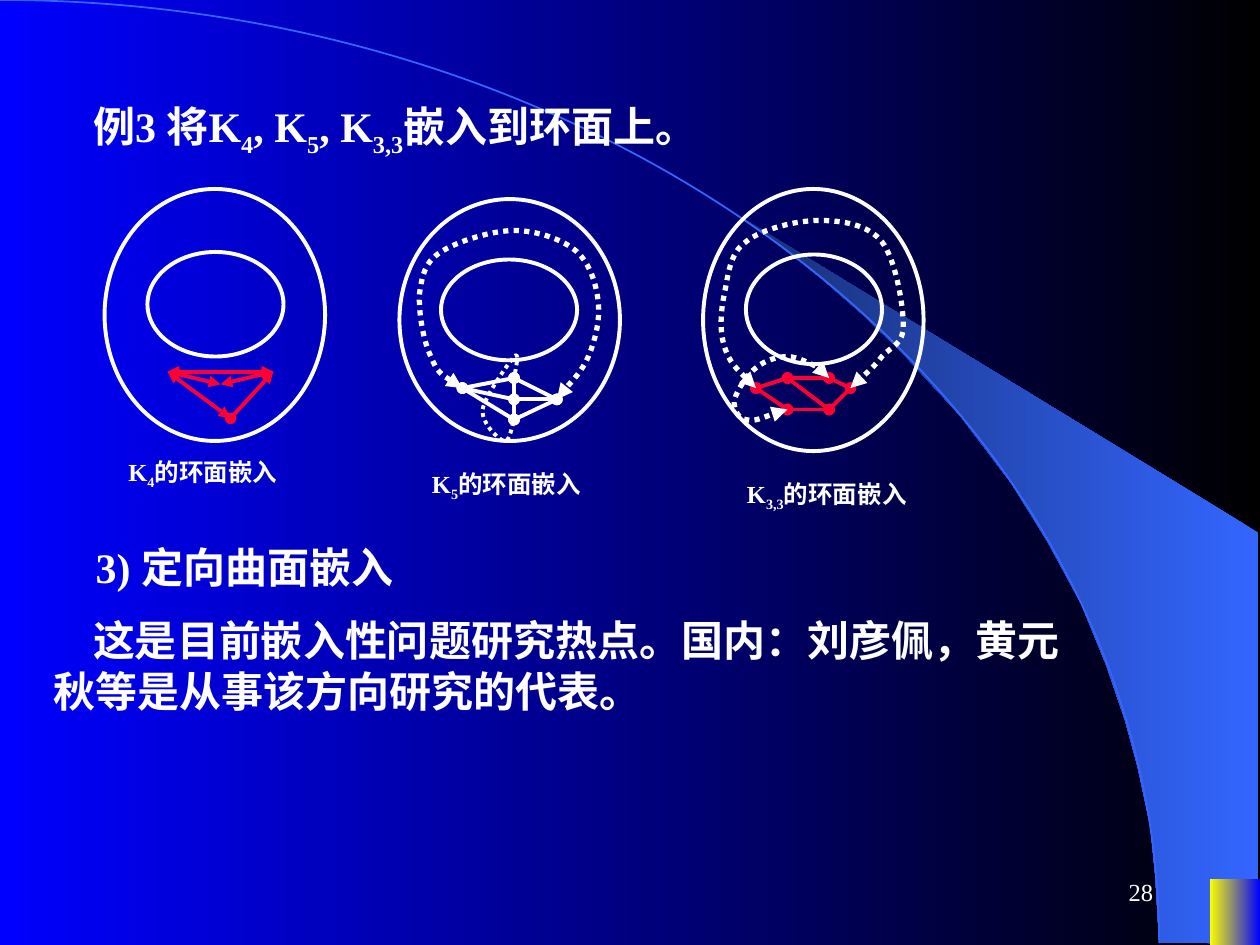
import lxml.etree
import pptx
import pptx.dml.color
import pptx.enum.dml
import pptx.enum.shapes
import pptx.enum.text
import pptx.oxml.ns
import pptx.util

Inches = pptx.util.Inches
RGBColor = pptx.dml.color.RGBColor
SHAPE = pptx.enum.shapes.MSO_SHAPE
ALIGN = pptx.enum.text.PP_ALIGN
ANCHOR = pptx.enum.text.MSO_ANCHOR
DOTS = pptx.enum.dml.MSO_LINE.ROUND_DOT
qn = pptx.oxml.ns.qn

WHITE = RGBColor(0xFF, 0xFF, 0xFF)
BLACK = RGBColor(0, 0, 0)
BLUE = RGBColor(0, 0, 0xFF)
YELLOW = RGBColor(0xFF, 0xFF, 0)
RED = RGBColor(0xFF, 0, 0x33)
SKY = RGBColor(0x33, 0x66, 0xFF)
NAVY = RGBColor(0x17, 0x2F, 0x75)


def add_text(shapes, text, left, top, width, height, size=24, bold=True, indent=0,
             align=ALIGN.LEFT, anchor=ANCHOR.TOP):
    """Every second piece between bars is a subscript."""
    box = shapes.add_textbox(Inches(left), Inches(top), Inches(width), Inches(height))
    box.text_frame.word_wrap = True
    box.text_frame.vertical_anchor = anchor
    para = box.text_frame.paragraphs[0]
    para.alignment = align
    if indent:
        para._p.get_or_add_pPr().set("indent", str(Inches(indent)))
    for index, piece in enumerate(text.split("|")):
        span = para.add_run()
        span.text = piece
        span.font.name = "Times New Roman"
        span.font.size = pptx.util.Pt(size)
        span.font.bold = bold
        span.font.color.rgb = WHITE
        if index % 2:
            span._r.get_or_add_rPr().set("baseline", "-25000")


def draw_path(shapes, points, color=WHITE, width=2.25, head="none", tail="none", dash=None):
    """Two points make a straight connector, more make a chain of cubic curves."""
    points = [(Inches(x), Inches(y)) for x, y in points]
    if len(points) == 2:
        path = shapes.add_connector(pptx.enum.shapes.MSO_CONNECTOR.STRAIGHT,
                                    *points[0], *points[1])
    else:
        builder = shapes.build_freeform(*points[0])
        builder.add_line_segments(points[1:], close=False)
        path = builder.convert_to_shape()
        path.fill.background()
        # Each three line ends become the control points of one curve
        outline = next(path._element.iter(qn("a:path")))
        segments = outline.findall(qn("a:lnTo"))
        for start in range(0, len(segments), 3):
            curve = lxml.etree.SubElement(outline, qn("a:cubicBezTo"))
            for segment in segments[start:start + 3]:
                curve.append(segment[0])
                outline.remove(segment)
    path.line.color.rgb = color
    path.line.width = pptx.util.Pt(width)
    if dash:
        path.line.dash_style = dash
    stroke = path.line._get_or_add_ln()
    lxml.etree.SubElement(stroke, qn("a:headEnd"), type=head)
    lxml.etree.SubElement(stroke, qn("a:tailEnd"), type=tail)
    lxml.etree.SubElement(path._element.spPr, qn("a:effectLst"))


deck = pptx.Presentation()
deck.slide_width, deck.slide_height = Inches(10), Inches(7.5)
page = deck.slides.add_slide(deck.slide_layouts[6])

# Backdrop: light beam, large arc and corner block
beam_points = [(9.2, 7.48), (9.99, 7.49), (9.99, 4.23), (5.89, 1.73), (6.24, 1.99),
               (6.53, 2.22), (6.85, 2.5), (7.16, 2.8), (7.62, 3.3), (8.03, 3.84),
               (8.32, 4.31), (8.58, 4.79), (8.78, 5.28), (8.93, 5.72), (9.03, 6.09),
               (9.13, 6.56), (9.17, 6.96), (9.2, 7.48)]
beam_points = [(Inches(x), Inches(y)) for x, y in beam_points]
builder = page.shapes.build_freeform(*beam_points[0])
builder.add_line_segments(beam_points[1:], close=False)
beam = builder.convert_to_shape()
arc = page.shapes.add_shape(SHAPE.ARC, Inches(-9.2), 0, Inches(18.4), Inches(14.97))
arc.fill.background()
arc.line.color.rgb = SKY
arc.line.width = pptx.util.Pt(1)
arc.shadow.inherit = False
corner = page.shapes.add_shape(SHAPE.RECTANGLE, Inches(9.6), Inches(6.98),
                               Inches(0.4), Inches(0.52))
for shape in (beam, corner):
    shape.line.fill.background()
    shape.shadow.inherit = False
for fill, colors in ((page.background.fill, (BLACK, BLUE)),
                     (beam.fill, (SKY, NAVY)), (corner.fill, (BLUE, YELLOW))):
    fill.gradient()
    fill.gradient_angle = 180
    for stop, color in zip(fill.gradient_stops, colors):
        stop.color.rgb = color

# Example heading and closing text
add_text(page.shapes, "例3 将K|4|, K|5|, K|3,3|嵌入到环面上。", 0.33, 0.75, 8.42, 0.56, indent=0.31)
add_text(page.shapes, "3) 定向曲面嵌入", 0.33, 4.25, 8.42, 0.5, indent=0.33)
add_text(page.shapes, "这是目前嵌入性问题研究热点。国内：刘彦佩，黄元秋等是从事该方向研究的代表。",
         0.33, 4.83, 8.42, 0.9, indent=0.31)

# Torus figures: outer and inner ellipse, then the caption
figures = []
for name, caption_at, outer, inner in (
        ("4", (0.92, 3.58), (0.83, 1.5, 1.75, 2), (1.17, 2, 1.08, 0.83)),
        ("5", (3.33, 3.67), (3.17, 1.58, 1.75, 1.92), (3.5, 2.06, 1.08, 0.8)),
        ("3,3", (5.83, 3.75), (5.58, 1.5, 1.75, 2.08), (5.92, 2.02, 1.08, 0.87))):
    figure = page.shapes.add_group_shape().shapes
    for bounds in (outer, inner):
        ring = figure.add_shape(SHAPE.OVAL, *map(Inches, bounds))
        ring.fill.background()
        ring.line.color.rgb = WHITE
        ring.line.width = pptx.util.Pt(2.25)
        ring.shadow.inherit = False
    add_text(figure, f"K|{name}|的环面嵌入", *caption_at, 1.6, 0.37, size=14)
    figures.append(figure)
k4, k5, k33 = figures

# K4 edges
left, right, middle, bottom = (1.33, 2.95), (2.17, 2.95), (1.75, 3.05), (1.83, 3.32)
for start, end, tail in ((left, right, "triangle"), (left, middle, "triangle"),
                         (right, middle, "triangle"), (left, bottom, "triangle"),
                         (right, bottom, "oval")):
    draw_path(k4, [start, end], RED, head="triangle", tail=tail)

# K5 edges
left, top, right = (3.67, 3.08), (4.08, 3), (4.42, 3.17)
middle, bottom = (4.08, 3.17), (4.08, 3.33)
for edge in ((top, left), (left, bottom), (top, right), (right, bottom),
             (left, middle), (middle, right)):
    draw_path(k5, edge, head="oval", tail="oval")
draw_path(k5, [top, (4.1, 2.9), (4.12, 2.79), (4.08, 2.83), (4.04, 2.88), (3.85, 3.14),
               (3.83, 3.25), (3.82, 3.36), (3.96, 3.49), (4, 3.5), (4.04, 3.51),
               (4.07, 3.36), bottom], head="oval", tail="oval", dash=DOTS)
for edge in ((middle, bottom), (top, middle)):
    draw_path(k5, edge)
k5_loop = [left, (3.57, 3.02), (3.47, 2.96), (3.42, 2.83), (3.36, 2.71), (3.32, 2.47),
           (3.33, 2.33), (3.35, 2.19), (3.37, 2.08), (3.5, 2), (3.62, 1.92), (3.9, 1.83),
           (4.08, 1.83), (4.26, 1.83), (4.47, 1.9), (4.58, 2), (4.69, 2.1), (4.74, 2.28),
           (4.75, 2.42), (4.76, 2.56), (4.72, 2.71), (4.67, 2.83), (4.61, 2.96),
           (4.46, 3.11), right]

# K3,3 edges
left, right = (6, 3.08), (6.75, 3.08)
top_left, top_right = (6.25, 3), (6.58, 3)
bottom_left, bottom_right = (6.25, 3.25), (6.58, 3.25)
for edge in ((top_left, top_right), (top_right, right), (right, bottom_right),
             (bottom_left, bottom_right), (top_left, left), (left, bottom_left),
             (top_left, bottom_right)):
    draw_path(k33, edge, RED, head="oval", tail="oval")
k33_handle = [top_right, (6.57, 2.97), (6.56, 2.94), (6.5, 2.92), (6.44, 2.89), (6.33, 2.83),
              (6.25, 2.83), (6.17, 2.83), (6.07, 2.86), (6, 2.92), (5.93, 2.97), (5.85, 3.1),
              (5.83, 3.17), (5.82, 3.24), (5.85, 3.32), (5.92, 3.33), (5.99, 3.35),
              (6.19, 3.26), bottom_left]
k33_loop = [left, (5.9, 2.98), (5.79, 2.88), (5.75, 2.75), (5.71, 2.63), (5.72, 2.47),
            (5.75, 2.33), (5.78, 2.19), (5.79, 2.01), (5.92, 1.92), (6.04, 1.82), (6.32, 1.75),
            (6.5, 1.75), (6.68, 1.75), (6.89, 1.78), (7, 1.92), (7.11, 2.06), (7.17, 2.43),
            (7.17, 2.58), (7.17, 2.74), (7.07, 2.75), (7, 2.83), (6.93, 2.92), (6.79, 3.04),
            right]

# Dotted edges that run around the torus
for figure, loop in ((k5, k5_loop), (k33, k33_handle), (k33, k33_loop)):
    draw_path(figure, loop, width=3, head="triangle", tail="triangle", dash=DOTS)

# Page number
add_text(page.shapes, "28", 7.17, 6.83, 2.08, 0.5, size=14, bold=False,
         align=ALIGN.RIGHT, anchor=ANCHOR.MIDDLE)

deck.save("out.pptx")
